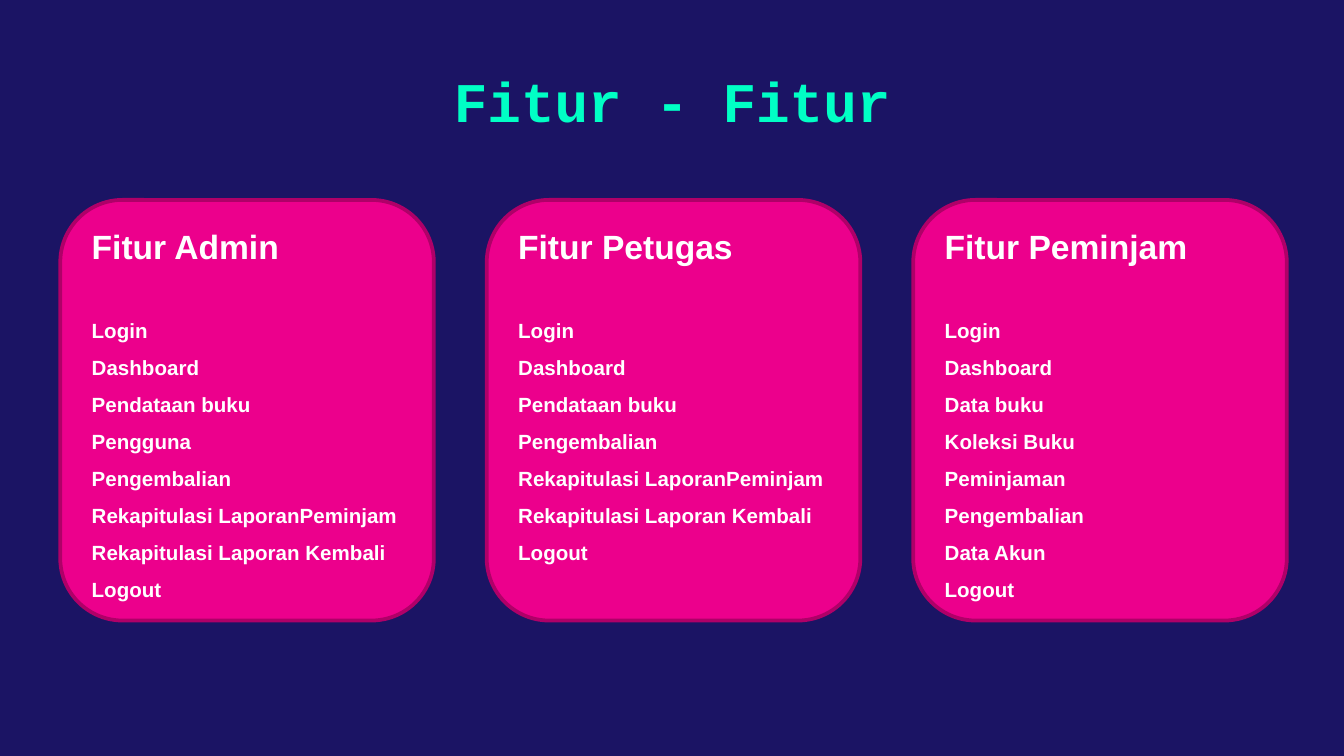
from pptx import Presentation
from pptx.dml.color import RGBColor as RGB
from pptx.enum.shapes import MSO_SHAPE as Shape
from pptx.enum.text import MSO_ANCHOR as Anchor, PP_ALIGN as Align
from pptx.util import Cm, Pt

NAVY, MINT, PINK, PLUM, WHITE = "1B1464", "00FFC5", "EC008C", "AF0068", "FFFFFF"
LEFT, TOP, WIDTH, HEIGHT, STEP = 1.14, 3.78, 7.06, 7.95, 8.06

CARDS = [
    ("Fitur Admin", [
        "Login", "Dashboard", "Pendataan buku", "Pengguna", "Pengembalian",
        "Rekapitulasi LaporanPeminjam", "Rekapitulasi Laporan Kembali", "Logout"]),
    ("Fitur Petugas", [
        "Login", "Dashboard", "Pendataan buku", "Pengembalian",
        "Rekapitulasi LaporanPeminjam", "Rekapitulasi Laporan Kembali", "Logout"]),
    ("Fitur Peminjam", [
        "Login", "Dashboard", "Data buku", "Koleksi Buku", "Peminjaman",
        "Pengembalian", "Data Akun", "Logout"]),
]


def paint(color, code):
    color.rgb = RGB.from_string(code)


def add_run(para, text, size, code, face="Arial"):
    run = para.add_run()
    run.text = text
    font = run.font
    font.name, font.size, font.bold = face, Pt(size), True
    paint(font.color, code)


def set_title(slide, text):
    title = slide.shapes.title
    title.left, title.top = Cm(3.56), Cm(0.97)
    title.width, title.height = Cm(18.29), Cm(1.85)
    frame = title.text_frame
    frame.vertical_anchor = Anchor.MIDDLE
    para = frame.paragraphs[0]
    para.alignment = Align.CENTER
    add_run(para, text, 30, MINT, "Courier New")


def add_card(slide, left, head, items):
    card = slide.shapes.add_shape(
        Shape.ROUNDED_RECTANGLE, Cm(left), Cm(TOP), Cm(WIDTH), Cm(HEIGHT))
    card.shadow.inherit = False
    card.fill.solid()
    paint(card.fill.fore_color, PINK)
    paint(card.line.color, PLUM)
    card.line.width = Pt(2)

    frame = card.text_frame
    frame.word_wrap = True
    frame.vertical_anchor = Anchor.TOP
    frame.margin_top, frame.margin_bottom = Cm(0.15), 0
    para = frame.paragraphs[0]
    para.alignment = Align.LEFT
    para.space_after = Pt(21)
    add_run(para, head, 18, WHITE)
    for item in items:
        para = frame.add_paragraph()
        para.alignment = Align.LEFT
        para.line_spacing = Pt(19.8)
        add_run(para, item, 11, WHITE)


def main():
    deck = Presentation()
    deck.slide_width, deck.slide_height = Cm(25.4), Cm(14.29)
    slide = deck.slides.add_slide(deck.slide_layouts[5])
    back = slide.background.fill
    back.solid()
    paint(back.fore_color, NAVY)
    set_title(slide, "Fitur - Fitur")
    for i, (head, items) in enumerate(CARDS):
        add_card(slide, LEFT + i * STEP, head, items)
    deck.save("out.pptx")


if __name__ == "__main__":
    main()
